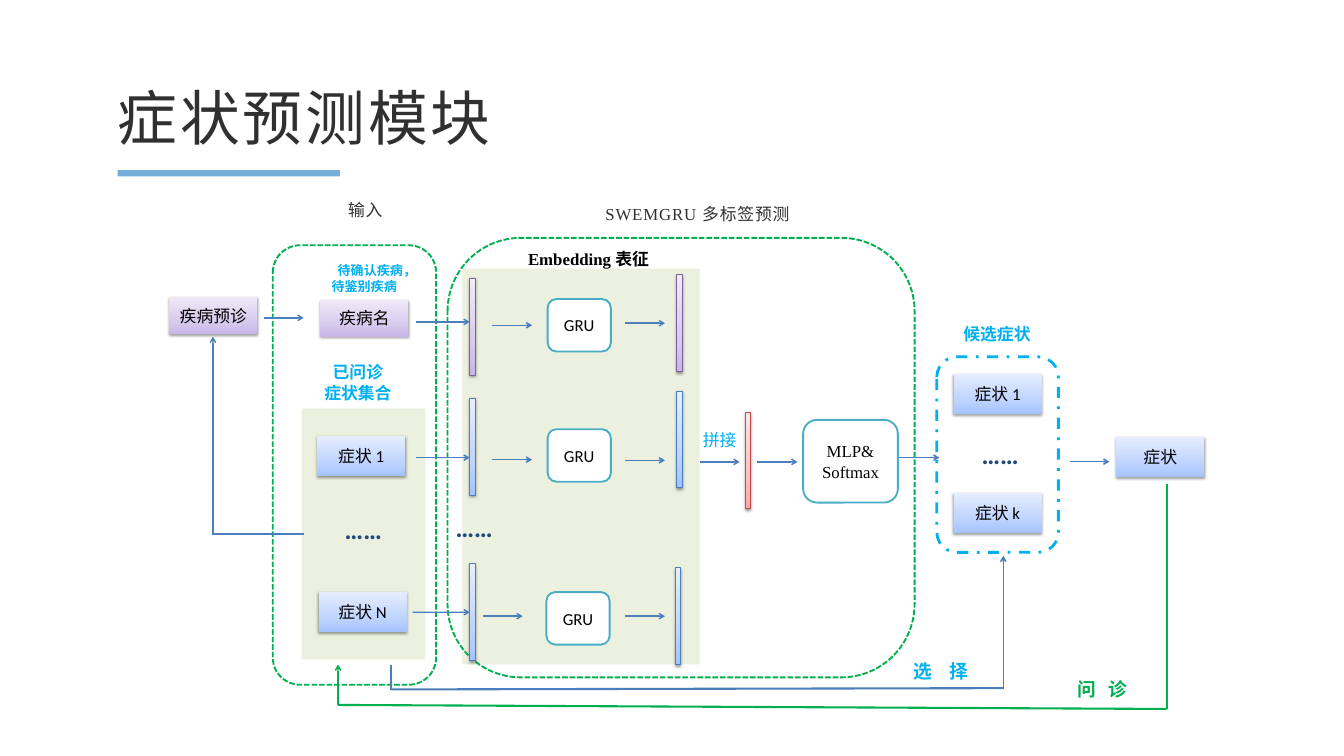
from lxml.etree import SubElement
from pptx import Presentation
from pptx.dml.color import RGBColor
from pptx.enum.dml import MSO_LINE as DASH
from pptx.enum.shapes import MSO_CONNECTOR as CONN, MSO_SHAPE as SHAPE
from pptx.enum.text import MSO_ANCHOR as ANCHOR, MSO_AUTO_SIZE as AUTO, PP_ALIGN as ALIGN
from pptx.oxml.ns import qn
from pptx.util import Pt

BLUE, GREEN, CYAN, TEAL = "4B7EBC", "00B050", "00B0F0", "4BACC6"
DARK, PANEL, SERIF = "303030", "EBF1DE", "Times New Roman"
GRADIENTS = {
    "purple": ("C9B5E8", "D8CBEE", "F0EAF9"),
    "blue": ("A4C4FF", "BFD4FF", "E6EEFF"),
    "red": ("FFA6A5", "FFC0BF", "FFE7E7"),
}
EDGES = {"purple": "7D60A0", "blue": BLUE, "red": "BF4C48"}
LABEL = {"color": DARK, "font": SERIF, "spc": 0.9, "wrap": False}
HEADING = {"color": CYAN, "bold": True, "align": ALIGN.CENTER}
DOTS = {"size": 28, "color": "1F497D", "bold": True}


def rgb(value):
    """Turn a hex string into a colour."""
    return RGBColor.from_string(value)


def write(tf, text, size=18, color="000000", font="Calibri", bold=False, spc=0, align=ALIGN.LEFT):
    """Write the lines of text into a text frame, and return its paragraphs."""
    style = {"size": Pt(size), "name": font, "bold": bold}
    for i, line in enumerate(text.split("\n")):
        p = tf.add_paragraph() if i else tf.paragraphs[0]
        p.alignment = align
        r = p.add_run()
        r.text = line
        for key, value in style.items():
            setattr(r.font, key, value)
        r.font.color.rgb = rgb(color)
        if spc:
            r._r.get_or_add_rPr().set("spc", str(round(spc * 100)))
    return tf.paragraphs


def add_text(s, x, y, w, h, text, wrap=True, **style):
    """Add a text box and return its paragraphs."""
    tf = s.shapes.add_textbox(Pt(x), Pt(y), Pt(w), Pt(h)).text_frame
    tf.word_wrap = wrap
    tf.auto_size = AUTO.SHAPE_TO_FIT_TEXT
    return write(tf, text, **style)


def add_box(s, x, y, w, h, fill=None, line=None, width=2, dash=None, text="", font="Calibri",
            kind=SHAPE.RECTANGLE):
    """Add a plain shape with optional fill, outline and centred text."""
    sp = s.shapes.add_shape(kind, Pt(x), Pt(y), Pt(w), Pt(h))
    sp.shadow.inherit = False
    if fill in GRADIENTS:
        add_gradient(sp, GRADIENTS[fill])
    elif fill:
        sp.fill.solid()
        sp.fill.fore_color.rgb = rgb(fill)
    else:
        sp.fill.background()
    if line:
        sp.line.color.rgb = rgb(line)
        sp.line.width = Pt(width)
        sp.line.dash_style = dash
    else:
        sp.line.fill.background()
    if text:
        sp.text_frame.word_wrap = True
        sp.text_frame.vertical_anchor = ANCHOR.MIDDLE
        write(sp.text_frame, text, font=font, align=ALIGN.CENTER)
    return sp


def add_gradient(sp, colors):
    """Give a shape a three-stop upward gradient and a soft shadow."""
    props = sp._element.spPr
    grad = SubElement(props, qn("a:gradFill"), rotWithShape="1")
    props.find(qn("a:prstGeom")).addnext(grad)
    stops = SubElement(grad, qn("a:gsLst"))
    for pos, color in zip((0, 35, 100), colors):
        stop = SubElement(stops, qn("a:gs"), pos=str(pos * 1000))
        SubElement(stop, qn("a:srgbClr"), val=color)
    SubElement(grad, qn("a:lin"), ang="16200000", scaled="0")
    shadow = SubElement(props.find(qn("a:effectLst")), qn("a:outerShdw"), blurRad=str(Pt(3.1)),
                        dist=str(Pt(1.6)), dir="5400000", rotWithShape="0")
    SubElement(SubElement(shadow, qn("a:srgbClr"), val="000000"), qn("a:alpha"), val="38000")


def add_line(s, x1, y1, x2, y2, color=BLUE, arrow=True):
    """Add a straight connector, thin with an arrowhead or thick without."""
    c = s.shapes.add_connector(CONN.STRAIGHT, Pt(x1), Pt(y1), Pt(x2), Pt(y2))
    c.line.color.rgb = rgb(color)
    c.line.width = Pt(1.5 if arrow else 2.25)
    if arrow:
        SubElement(c.line._get_or_add_ln(), qn("a:tailEnd"), type="arrow")
    SubElement(c._element.spPr, qn("a:effectLst"))
    return c


def add_node(s, x, y, text, fill="blue"):
    """Add a small gradient box for a disease or a symptom."""
    return add_box(s, x, y, 94.3, 39.6 if fill == "purple" else 43.2, fill, text=text)


def add_bar(s, x, y, fill):
    """Add a narrow upright vector bar."""
    return add_box(s, x, y, 5.8, 103.7, fill, EDGES[fill], 0.75)


def add_frame(s, x, y, w, h, line, width=2, dash=None, **more):
    """Add a rounded outline."""
    return add_box(s, x, y, w, h, line=line, width=width, dash=dash,
                   kind=SHAPE.ROUNDED_RECTANGLE, **more)


def add_title(s, x, y, w, h):
    """Add the title and the bar below it."""
    p = add_text(s, x, y, w, h, "症状预测模块", size=64, color=DARK, spc=3.2)[0]
    p.line_spacing = Pt(89.6)
    tf = s.shapes[-1].text_frame
    for side in ("left", "top", "right", "bottom"):
        setattr(tf, f"margin_{side}", 0)
    add_box(s, x, y + 108, 238.3, 6.8, "74AEDB")


def add_input(s, x, y, w, h):
    """Add the input region with the disease and the symptom set."""
    add_box(s, x + 31, y + 175, 132.5, 268.6, PANEL)
    add_frame(s, x, y, w, h, GREEN, dash=DASH.SQUARE_DOT)
    add_text(s, x + 73.5, y - 52.6, 53.3, 28.8, "输入", **LABEL)
    first = add_text(s, x + 44, y + 15, 108, 41, "待确认疾病，\n待鉴别疾病", size=14, **HEADING)[0]
    first._p.get_or_add_pPr().set("marL", str(Pt(13)))
    add_node(s, x + 51, y + 58.3, "疾病名", "purple")
    add_text(s, x + 8, y + 121.7, 166.3, 51, "已问诊\n症状集合", **HEADING)
    add_node(s, x + 47.5, y + 204.5, "症状 1")
    add_text(s, x + 70, y + 283.7, 79.2, 41, "……", **DOTS)
    add_node(s, x + 49, y + 371.5, "症状 N")


def add_prediction(s, x, y, w, h):
    """Add the prediction region and return its last input bar."""
    add_box(s, x + 16, y + 33, 254.2, 424, PANEL)
    add_frame(s, x, y, w, h, GREEN, dash=DASH.SQUARE_DOT)
    add_text(s, x + 162, y - 40.3, 218, 29, "SWEMGRU 多标签预测", **LABEL)
    add_text(s, x + 79.2, y + 8, 172, 29, "Embedding 表征", font=SERIF, bold=True)
    rows = (
        ("purple", 43.2, 47.6, 93.6, 107.3, 65.5, 91.4, 245.5, 39.6),
        ("blue", 172, 47.6, 237.6, 107.3, 205, 238.3, 245.5, 164),
        ("blue", 349.2, 37.5, 405.3, 106, 379.5, 405.3, 244, 353.5),
    )
    for fill, bar_y, in_x, in_y, gru_x, gru_y, out_y, end_x, end_y in rows:
        bar = add_bar(s, x + 23.8, y + bar_y, fill)
        add_line(s, x + in_x, y + in_y, x + in_x + 43, y + in_y)
        add_frame(s, x + gru_x, y + gru_y, 67.7, 56.2, TEAL, fill="FFFFFF", text="GRU")
        add_line(s, x + 190, y + out_y, x + 233, y + out_y)
        add_bar(s, x + end_x, y + end_y, fill)
    add_text(s, x + 1.5, y + 290, 79.2, 41, "……", **DOTS)
    add_text(s, x + 266.5, y + 202.3, 51, 29, "拼接", wrap=False, color=CYAN)
    add_bar(s, x + 319, y + 186.5, "red")
    for left in (270, 332):
        add_line(s, x + left, y + 240, x + left + 43, y + 240)
    add_frame(s, x + 381, y + 195, 101.5, 88.6, TEAL, fill="FFFFFF", text="MLP& Softmax", font=SERIF)
    return bar


def add_candidates(s, x, y, w, h):
    """Add the region of candidate symptoms."""
    add_text(s, x - 18.7, y - 38.9, 166.3, 29, "候选症状", **HEADING)
    add_node(s, x + 18, y + 18, "症状 1")
    add_text(s, x + 41, y + 83.5, 60.5, 41, "……", **DOTS)
    add_node(s, x + 18, y + 145.5, "症状 k")
    add_frame(s, x, y, w, h, CYAN, 3, DASH.DASH_DOT)


def add_flow(s, x, y, last_bar):
    """Add the outer nodes, the links between regions and the feedback loops."""
    add_node(s, x + 181.4, y + 318.2, "疾病预诊", "purple")
    add_node(s, x + 1196, y + 468, "症状")
    links = ((283, 340.6, 325.4), (445.7, 344.9, 503.3), (445.7, 490.3, 503.3),
             (963.4, 490.3, 1006.6), (1146.2, 494.6, 1188.7))
    for x1, level, x2 in links:
        add_line(s, x + x1, y + level, x + x2, y + level)
    add_line(s, x + 442, y + 656, x + 503.3, y + 656).end_connect(last_bar, 1)
    loops = (
        (419, 738.7, 1075.7, 737.3, BLUE, False), (419, 739.4, 419, 712, BLUE, False),
        (1075, 738.7, 1075, 595.4, BLUE, True),
        (1250, 759.6, 1250, 518.4, GREEN, False), (362.2, 755.3, 1250, 759.6, GREEN, False),
        (362.2, 755.3, 362.2, 712, GREEN, True),
        (228.2, 571, 228.2, 360.7, BLUE, True), (226.8, 571.7, 325.4, 571.7, BLUE, False),
    )
    for x1, y1, x2, y2, color, arrow in loops:
        add_line(s, x + x1, y + y1, x + x2, y + y2, color, arrow)
    add_text(s, x + 925.2, y + 703.4, 166.3, 32, "选 择", size=20, spc=6.8, **HEADING)
    add_text(s, x + 1098, y + 722.9, 166.3, 32, "问 诊", size=20, spc=4.5,
             **{**HEADING, "color": GREEN})


def main():
    """Build the slide and save it."""
    prs = Presentation()
    prs.slide_width, prs.slide_height = Pt(1440), Pt(810)
    s = prs.slides.add_slide(prs.slide_layouts[6])
    add_title(s, 126, 74.2, 514, 90.7)
    add_input(s, 292.3, 262.8, 175, 470.9)
    last_bar = add_prediction(s, 479.5, 254.9, 500.4, 470.9)
    add_candidates(s, 1003.7, 382.3, 130.3, 209.5)
    add_flow(s, 0, 0, last_bar)
    prs.save("out.pptx")


if __name__ == "__main__":
    main()
